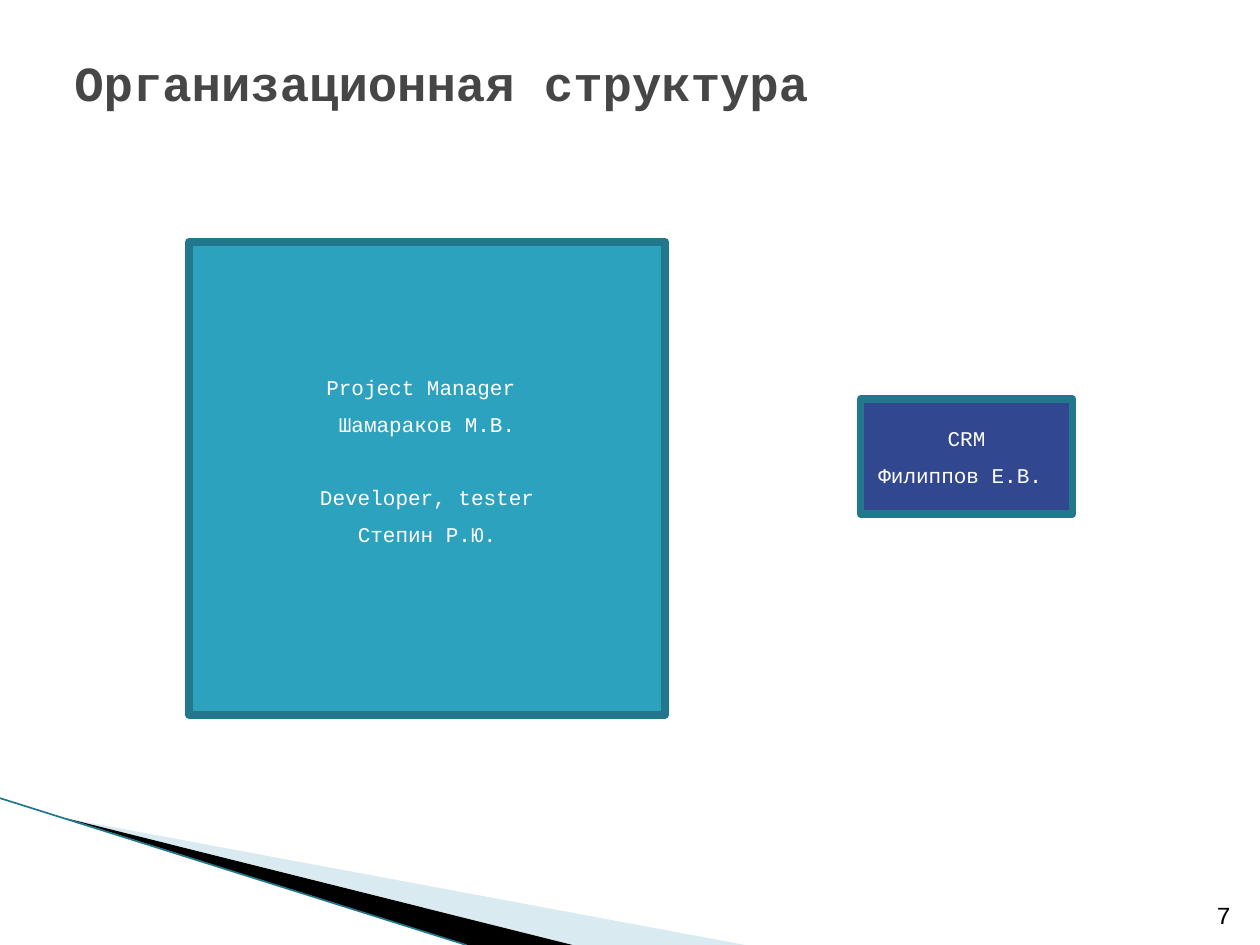
import pptx
import pptx.util
import pptx.dml.color
import pptx.enum.shapes
import pptx.enum.text
import pptx.oxml.ns
import lxml.etree

Cm, Pt = pptx.util.Cm, pptx.util.Pt
ALIGN = pptx.enum.text.PP_ALIGN
ANCHOR = pptx.enum.text.MSO_ANCHOR

# Content: lengths in cm, text as (line, space before in pt)
FONT = "Courier New"
GAP = 6.8
LINE_PITCH = 20.4
TITLE = "Организационная структура"
PAGE_NUMBER = "7"
BORDER = "21788D"
TEAMS = [
    dict(at=(3.81, 4.88, 9.6, 9.53), fill="2DA2BF", bottom=0.1 + LINE_PITCH * 2.54 / 72,
         lines=[("Project Manager ", GAP), ("Шамараков М.В.", GAP),
                ("Developer, tester", GAP + LINE_PITCH), ("Степин Р.Ю.", GAP)]),
    dict(at=(17.35, 8.05, 4.27, 2.31), fill="31478F", bottom=0.1,
         lines=[("CRM", GAP), ("Филиппов Е.В. ", GAP)]),
]
WEDGES = [
    ([(1.4, 16.51), (15.02, 19.05), (11.55, 19.05)], "A0CBDC", 40),
    ([(1.35, 16.5), (11.54, 19.05), (9.42, 19.05)], "000000", 100),
]
EDGE = (0, 16.09, 9.4, 19.05)


def color(value):
    return pptx.dml.color.RGBColor.from_string(value)


def write(tf, lines, size, value, align, anchor, bold=False, bottom=0.1):
    frame = dict(word_wrap=True, vertical_anchor=anchor, margin_left=Cm(0.23),
                 margin_right=Cm(0.23), margin_top=Cm(0.1), margin_bottom=Cm(bottom))
    for name, setting in frame.items():
        setattr(tf, name, setting)
    for i, (text, before) in enumerate(lines):
        p = tf.add_paragraph() if i else tf.paragraphs[0]
        p.alignment, p.space_before = align, Pt(before)
        r = p.add_run()
        r.text = text
        for name, setting in dict(name=FONT, size=Pt(size), bold=bold).items():
            setattr(r.font, name, setting)
        r.font.color.rgb = color(value)


def box(at):
    return [Cm(v) for v in at]


prs = pptx.Presentation()
prs.slide_width, prs.slide_height = Cm(25.4), Cm(19.05)
slide = prs.slides.add_slide(prs.slide_layouts[6])
shapes = slide.shapes
qn = pptx.oxml.ns.qn

# Corner wedges
for points, fill, opacity in WEDGES:
    start, *rest = [(Cm(x), Cm(y)) for x, y in points]
    builder = shapes.build_freeform(*start)
    builder.add_line_segments(rest, close=True)
    sp = builder.convert_to_shape()
    sp.shadow.inherit = False
    sp.fill.solid()
    sp.fill.fore_color.rgb = color(fill)
    sp.line.fill.background()
    if opacity < 100:
        clr = sp._element.spPr.find(".//" + qn("a:srgbClr"))
        lxml.etree.SubElement(clr, qn("a:alpha"), val=str(opacity * 1000))

# Corner edge line
edge = shapes.add_connector(pptx.enum.shapes.MSO_CONNECTOR.STRAIGHT, *box(EDGE))
edge.line.color.rgb = color(BORDER)
edge.line.width = Pt(0.95)
lxml.etree.SubElement(edge._element.spPr, qn("a:effectLst"))

# Title
title = shapes.add_textbox(*box((1.27, 0.76, 22.86, 1.78)))
write(title.text_frame, [(TITLE, 0)], 28, "464646", ALIGN.LEFT, ANCHOR.MIDDLE, bold=True)

# Team boxes
for team in TEAMS:
    sp = shapes.add_shape(pptx.enum.shapes.MSO_SHAPE.RECTANGLE, *box(team["at"]))
    sp.shadow.inherit = False
    sp.fill.solid()
    sp.fill.fore_color.rgb = color(team["fill"])
    sp.line.color.rgb = color(BORDER)
    sp.line.width = Pt(4.33)
    write(sp.text_frame, team["lines"], 12, "FFFFFF", ALIGN.CENTER, ANCHOR.MIDDLE,
          bottom=team["bottom"])

# Page number
number = shapes.add_textbox(*box((24.03, 17.81, 1.02, 1.02)))
write(number.text_frame, [(PAGE_NUMBER, 0)], 14, "000000", ALIGN.RIGHT, ANCHOR.BOTTOM)

prs.save("out.pptx")
